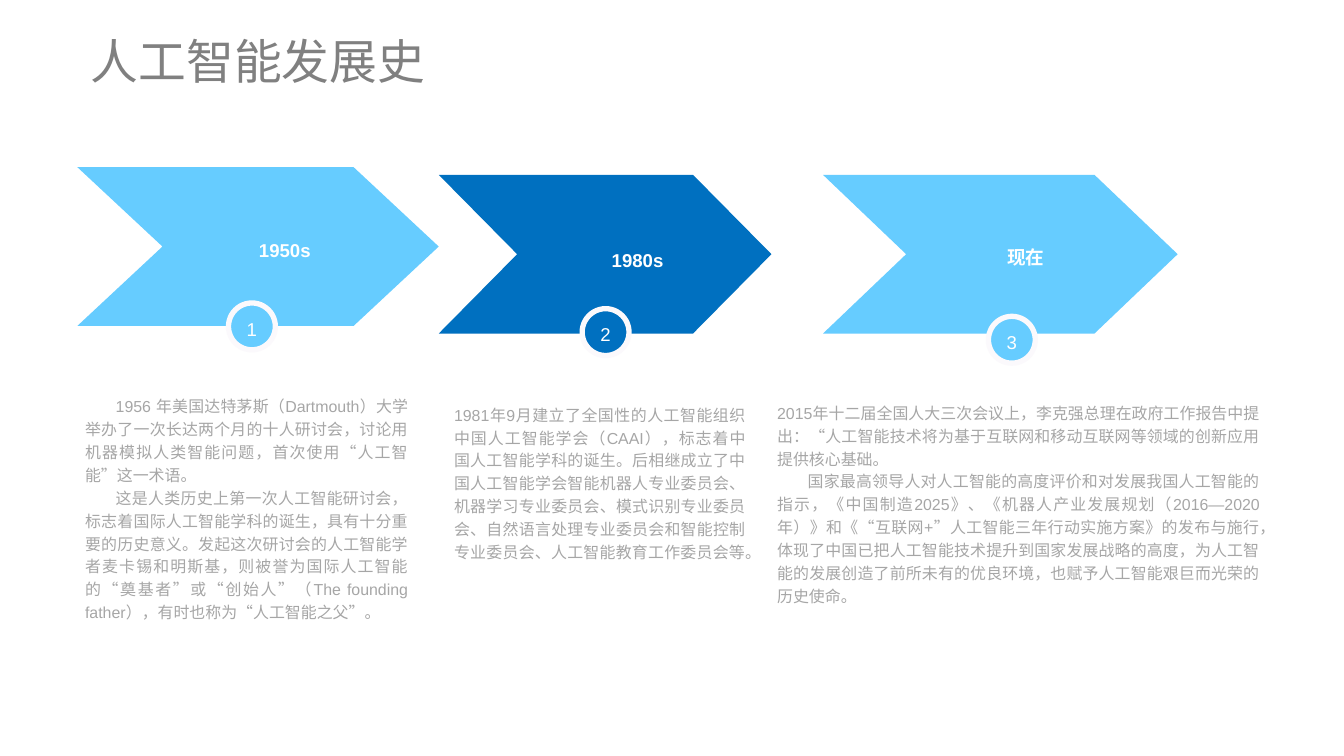
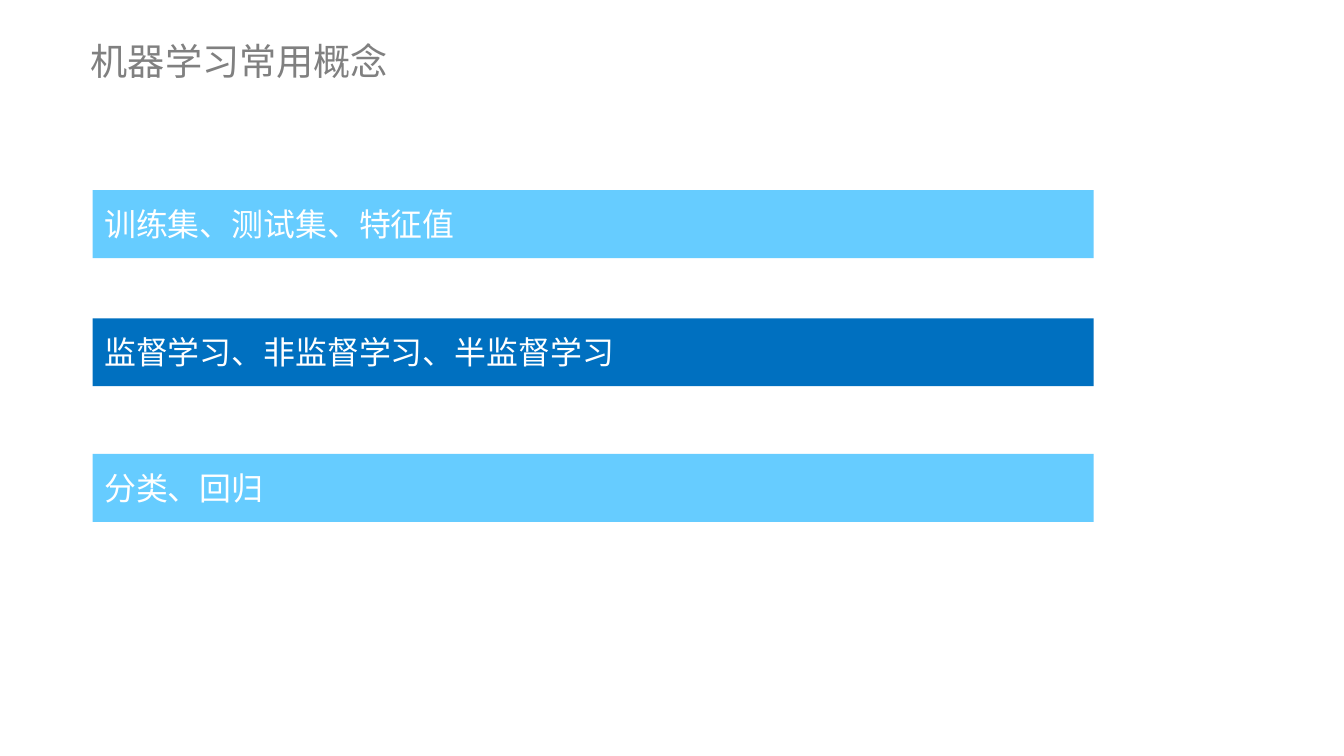
from dataclasses import dataclass

from pptx import Presentation
from pptx.dml.color import RGBColor
from pptx.enum.lang import MSO_LANGUAGE_ID
from pptx.enum.shapes import MSO_SHAPE
from pptx.enum.text import MSO_ANCHOR, PP_ALIGN
from pptx.util import Emu, Pt

EMU_PER_PX = 9144  # 100 px to the inch


def px(length):
    return Emu(round(length * EMU_PER_PX))


@dataclass(frozen=True)
class Theme:
    font: str = "Arial"
    light: str = "66CCFF"
    dark: str = "0070C0"
    white: str = "FFFFFF"
    ring: str = "FBF9FC"
    title: str = "808080"
    body: str = "A6A6A6"
    body_size: int = 12
    label_size: int = 14
    bar_size: int = 24
    line_spacing: float = 1.2


class Deck:
    """Holds the theme, the presentation and the slide being built."""

    def __init__(self, theme, width, height):
        self.theme = theme
        self.presentation = Presentation()
        self.presentation.slide_width = px(width)
        self.presentation.slide_height = px(height)
        self.slide = None

    def add_slide(self, title, title_size):
        layout = self.presentation.slide_layouts[6]
        self.slide = self.presentation.slides.add_slide(layout)
        self.text_box(95, 33, 375, 61, [title], title_size, self.theme.title,
                      anchor=MSO_ANCHOR.MIDDLE, spacing=1.0)

    def set_text(self, shape, lines, size, color, align=PP_ALIGN.LEFT, bold=False,
                 anchor=MSO_ANCHOR.TOP, spacing=None, side_margin=0):
        frame = shape.text_frame
        frame.word_wrap = True
        frame.vertical_anchor = anchor
        frame.margin_top = frame.margin_bottom = 0
        frame.margin_left = frame.margin_right = px(side_margin)
        frame.text = "\n".join(lines)
        for paragraph in frame.paragraphs:
            paragraph.alignment = align
            paragraph.line_spacing = spacing or self.theme.line_spacing
            for run in paragraph.runs:
                run.font.name = self.theme.font
                run.font.size = Pt(size)
                run.font.bold = bold
                run.font.color.rgb = RGBColor.from_string(color)
                run.font.language_id = MSO_LANGUAGE_ID.SIMPLIFIED_CHINESE

    def text_box(self, left, top, width, height, lines, size, color, **style):
        box = self.slide.shapes.add_textbox(px(left), px(top), px(width), px(height))
        self.set_text(box, lines, size, color, **style)
        return box

    def filled_shape(self, kind, left, top, width, height, fill):
        shape = self.slide.shapes.add_shape(
            kind, px(left), px(top), px(width), px(height))
        shape.shadow.inherit = False
        shape.fill.solid()
        shape.fill.fore_color.rgb = RGBColor.from_string(fill)
        shape.line.fill.background()
        return shape

    def chevron(self, left, top, width, point, fill):
        height = 166
        shape = self.filled_shape(MSO_SHAPE.CHEVRON, left, top, width, height, fill)
        shape.adjustments[0] = point / height

    def label(self, center_x, center_y, text):
        width, height = 226, 26
        self.text_box(center_x - width / 2, center_y - height / 2, width, height,
                      [text], self.theme.label_size, self.theme.white, bold=True,
                      align=PP_ALIGN.CENTER, anchor=MSO_ANCHOR.MIDDLE)

    def badge(self, left, top, number, fill):
        shape = self.filled_shape(MSO_SHAPE.OVAL, left, top, 49, 49, fill)
        shape.line.color.rgb = RGBColor.from_string(self.theme.ring)
        shape.line.width = Pt(4)
        self.set_text(shape, [str(number)], self.theme.label_size, self.theme.white,
                      align=PP_ALIGN.CENTER, anchor=MSO_ANCHOR.MIDDLE)

    def body(self, left, top, width, height, lines, indented):
        """Justified text; indented holds the indexes of first-line indents."""
        box = self.text_box(left, top, width, height, lines, self.theme.body_size,
                            self.theme.body, align=PP_ALIGN.JUSTIFY)
        for index in indented:
            properties = box.text_frame.paragraphs[index]._p.get_or_add_pPr()
            properties.set("marL", "0")
            properties.set("indent", str(px(32)))

    def bar(self, top, text, fill):
        shape = self.filled_shape(MSO_SHAPE.RECTANGLE, 97, top, 1047, 71, fill)
        self.set_text(shape, [text], self.theme.bar_size, self.theme.white,
                      align=PP_ALIGN.JUSTIFY, anchor=MSO_ANCHOR.MIDDLE, spacing=1.0,
                      side_margin=12)


def build_history(deck):
    theme = deck.theme
    deck.add_slide("人工智能发展史", 36)
    # chevron (left, top, width, point), label (center, text), badge (left, top)
    eras = [
        ((81, 175, 378, 89), (298, 259, "1950s"), (239, 317), theme.light),
        ((459, 183, 348, 82), (667, 270, "1980s"), (609, 323), theme.dark),
        ((861, 183, 371, 87), (1073, 267, "现在"), (1034, 331), theme.light),
    ]
    for number, (chevron, label, badge, fill) in enumerate(eras, start=1):
        deck.chevron(*chevron, fill)
        deck.label(*label)
        deck.badge(*badge, number, fill)

    deck.body(89, 411, 338, 242, [
        "1956 年美国达特茅斯（Dartmouth）大学举办了一次长达两个月的十人研讨会，"
        "讨论用机器模拟人类智能问题，首次使用“人工智能”这一术语。",
        "这是人类历史上第一次人工智能研讨会，标志着国际人工智能学科的诞生，"
        "具有十分重要的历史意义。发起这次研讨会的人工智能学者麦卡锡和明斯基，"
        "则被誉为国际人工智能的“奠基者”或“创始人”（The founding father），"
        "有时也称为“人工智能之父”。",
    ], indented=(0, 1))
    deck.body(475, 420, 305, 170, [
        "1981年9月建立了全国性的人工智能组织中国人工智能学会（CAAI），"
        "标志着中国人工智能学科的诞生。后相继成立了中国人工智能学会智能机器人专业委员会、"
        "机器学习专业委员会、模式识别专业委员会、自然语言处理专业委员会和"
        "智能控制专业委员会、人工智能教育工作委员会等。",
    ], indented=())
    deck.body(813, 418, 505, 218, [
        "2015年十二届全国人大三次会议上，李克强总理在政府工作报告中提出："
        "“人工智能技术将为基于互联网和移动互联网等领域的创新应用提供核心基础。",
        "国家最高领导人对人工智能的高度评价和对发展我国人工智能的指示，"
        "《中国制造2025》、《机器人产业发展规划（2016—2020 年）》和"
        "《“互联网+”人工智能三年行动实施方案》的发布与施行，"
        "体现了中国已把人工智能技术提升到国家发展战略的高度，"
        "为人工智能的发展创造了前所未有的优良环境，也赋予人工智能艰巨而光荣的历史使命。",
    ], indented=(1,))


def build_concepts(deck):
    theme = deck.theme
    deck.add_slide("机器学习常用概念", 28)
    deck.bar(199, "训练集、测试集、特征值", theme.light)
    deck.bar(333, "监督学习、非监督学习、半监督学习", theme.dark)
    deck.bar(475, "分类、回归", theme.light)


def main():
    deck = Deck(Theme(), 1406, 791)
    build_history(deck)
    build_concepts(deck)
    deck.presentation.save("out.pptx")


if __name__ == "__main__":
    main()
